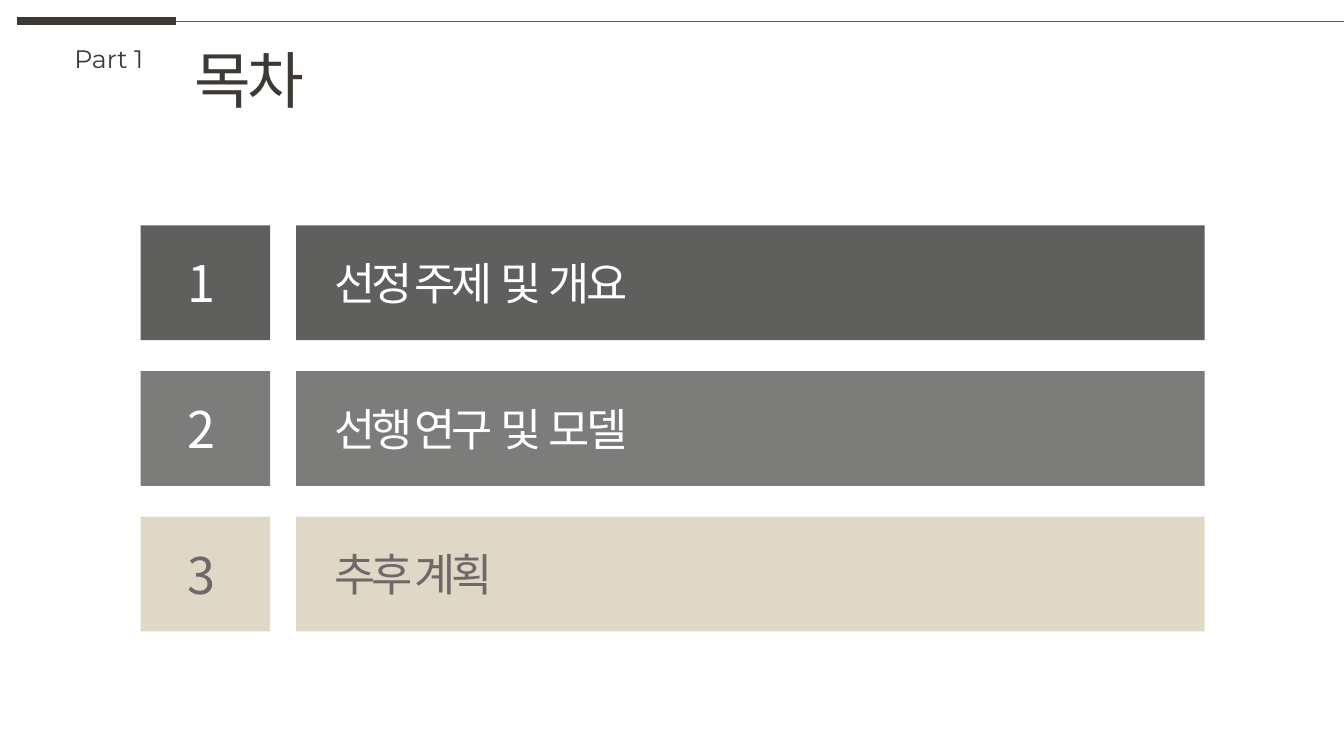
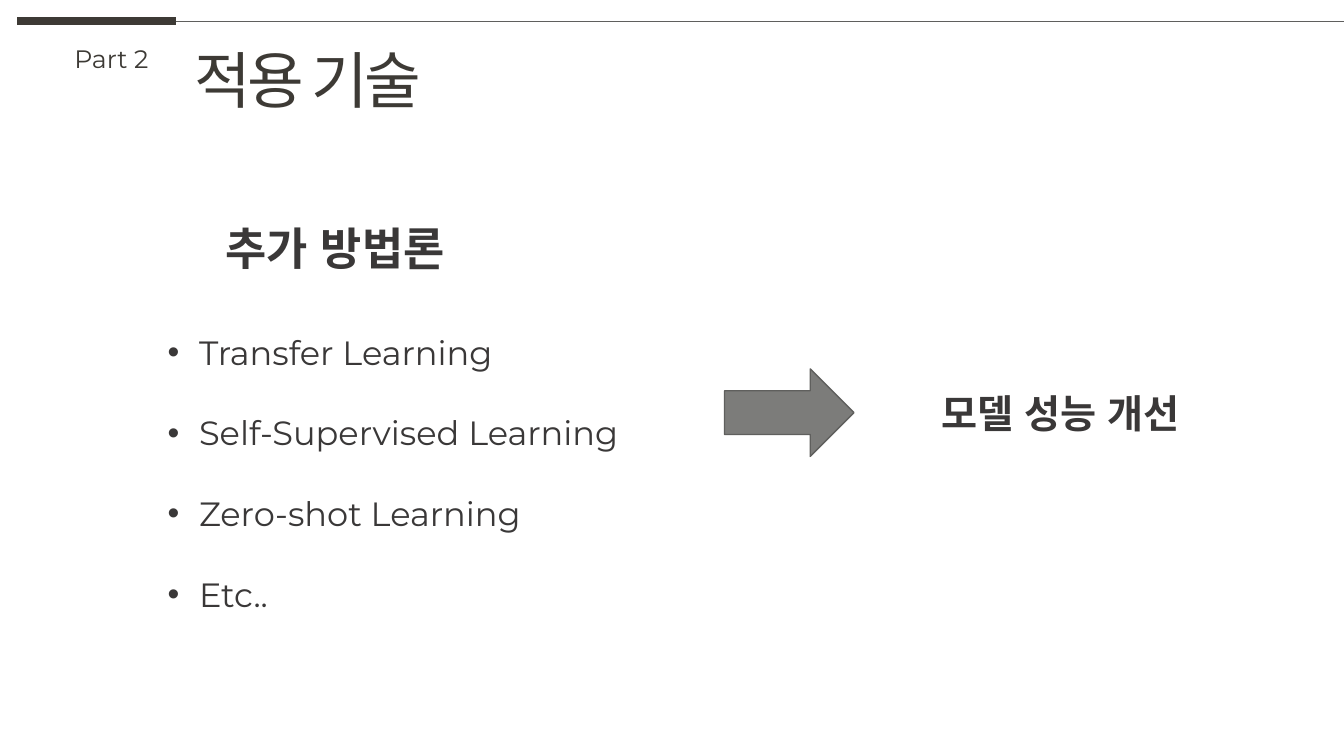
"""Build two Korean slides: an agenda and the techniques to apply."""
from lxml import etree
from pptx import Presentation
from pptx.dml.color import RGBColor
from pptx.enum import shapes, text
from pptx.oxml import ns
from pptx.util import Pt

INK = RGBColor(0x3D, 0x3A, 0x35)
BODY = RGBColor(0x3A, 0x38, 0x38)
DARK = RGBColor(0x5F, 0x5F, 0x5D)
GRAY = RGBColor(0x7C, 0x7C, 0x7A)
SAND = RGBColor(0xDF, 0xD8, 0xC7)
STONE = RGBColor(0x6C, 0x69, 0x69)
WHITE = RGBColor(0xFF, 0xFF, 0xFF)
LATIN = "Montserrat"
KOREAN = "Noto Sans CJK KR"


def write(box, words, size, color, face=LATIN, bold=False, spacing=0,
          align=text.PP_ALIGN.LEFT, anchor=text.MSO_ANCHOR.MIDDLE):
    """Fill a shape with one formatted paragraph per line of words."""
    frame = box.text_frame
    frame.word_wrap = True
    frame.auto_size = text.MSO_AUTO_SIZE.NONE
    frame.vertical_anchor = anchor
    frame.text = words
    for para in frame.paragraphs:
        para.alignment = align
        for span in para.runs:
            font = span.font
            font.name, font.size, font.bold = face, Pt(size), bold
            font.color.rgb = color
            properties = span._r.get_or_add_rPr()
            properties.set("spc", str(spacing * 100))
            etree.SubElement(properties, ns.qn("a:ea"), typeface=face)


def place(box, left, top, width, height):
    """Move and size a placeholder, in points."""
    box.left, box.top, box.width, box.height = map(Pt, (left, top, width, height))


deck = Presentation()
deck.slide_width, deck.slide_height = Pt(960), Pt(540)

pages = []
for part, heading, layout in (("Part 1", "목차", 5), ("Part 2", "적용 기술", 1)):
    page = deck.slides.add_slide(deck.slide_layouts[layout])
    pages.append(page)
    for start, end, color, weight in ((12.5, 125.5, INK, 6), (125.5, 960, DARK, 0.5)):
        rule = page.shapes.add_connector(
            shapes.MSO_CONNECTOR.STRAIGHT, Pt(start), Pt(15), Pt(end), Pt(15))
        rule.line.color.rgb = color
        rule.line.width = Pt(weight)
        etree.SubElement(rule._element.spPr, ns.qn("a:effectLst"))
    place(page.shapes.title, 132, 26, 700, 60.5)
    write(page.shapes.title, heading, size=44, color=INK, spacing=-3)
    label = page.shapes.add_textbox(Pt(46), Pt(27.5), Pt(80), Pt(29))
    write(label, part, size=18, color=INK)

agenda, methods = pages

topics = (
    ("선정 주제  및  개요", DARK, WHITE),
    ("선행 연구  및  모델", GRAY, WHITE),
    ("추후 계획", SAND, STONE),
)
for index, (topic, fill, color) in enumerate(topics):
    cells = (
        (str(index + 1), 100.5, 92.5, 36, text.PP_ALIGN.CENTER, 0, 6),
        (topic, 211.5, 649, 32, text.PP_ALIGN.LEFT, 27.5, 7),
    )
    for words, left, width, size, align, inset_left, inset_right in cells:
        tile = agenda.shapes.add_shape(
            shapes.MSO_SHAPE.RECTANGLE,
            Pt(left), Pt(161 + 104 * index), Pt(width), Pt(82))
        tile.shadow.inherit = False
        tile.fill.solid()
        tile.fill.fore_color.rgb = fill
        tile.line.fill.background()
        tile.text_frame.margin_left = Pt(inset_left)
        tile.text_frame.margin_right = Pt(inset_right)
        write(tile, words, size=size, color=color, face=KOREAN, spacing=-3, align=align)

techniques = methods.placeholders[1]
place(techniques, 112.5, 204.5, 370, 245)
write(techniques,
      "Transfer Learning\nSelf-Supervised Learning\nZero-shot Learning\nEtc..",
      size=24, color=BODY, anchor=text.MSO_ANCHOR.TOP)
for para in techniques.text_frame.paragraphs:
    para.line_spacing = 2.0
    para.space_before = Pt(0)
    properties = para._p.get_or_add_pPr()
    properties.set("marL", str(Pt(22.5)))
    properties.set("indent", str(-Pt(22.5)))
    etree.SubElement(properties, ns.qn("a:buFont"), typeface="Arial")
    etree.SubElement(properties, ns.qn("a:buChar"), char="•")

for words, left, top, width, height, size in (
        ("추가 방법론", 154, 154, 220, 46, 32),
        ("모델 성능 개선", 665.5, 274.5, 240, 41, 28)):
    caption = methods.shapes.add_textbox(Pt(left), Pt(top), Pt(width), Pt(height))
    write(caption, words, size=size, color=BODY, bold=True)

arrow = methods.shapes.add_shape(
    shapes.MSO_SHAPE.RIGHT_ARROW, Pt(517.5), Pt(263.5), Pt(92.5), Pt(62.5))
arrow.shadow.inherit = False
arrow.fill.solid()
arrow.fill.fore_color.rgb = GRAY
arrow.line.color.rgb = DARK
arrow.line.width = Pt(1)

deck.save("out.pptx")
